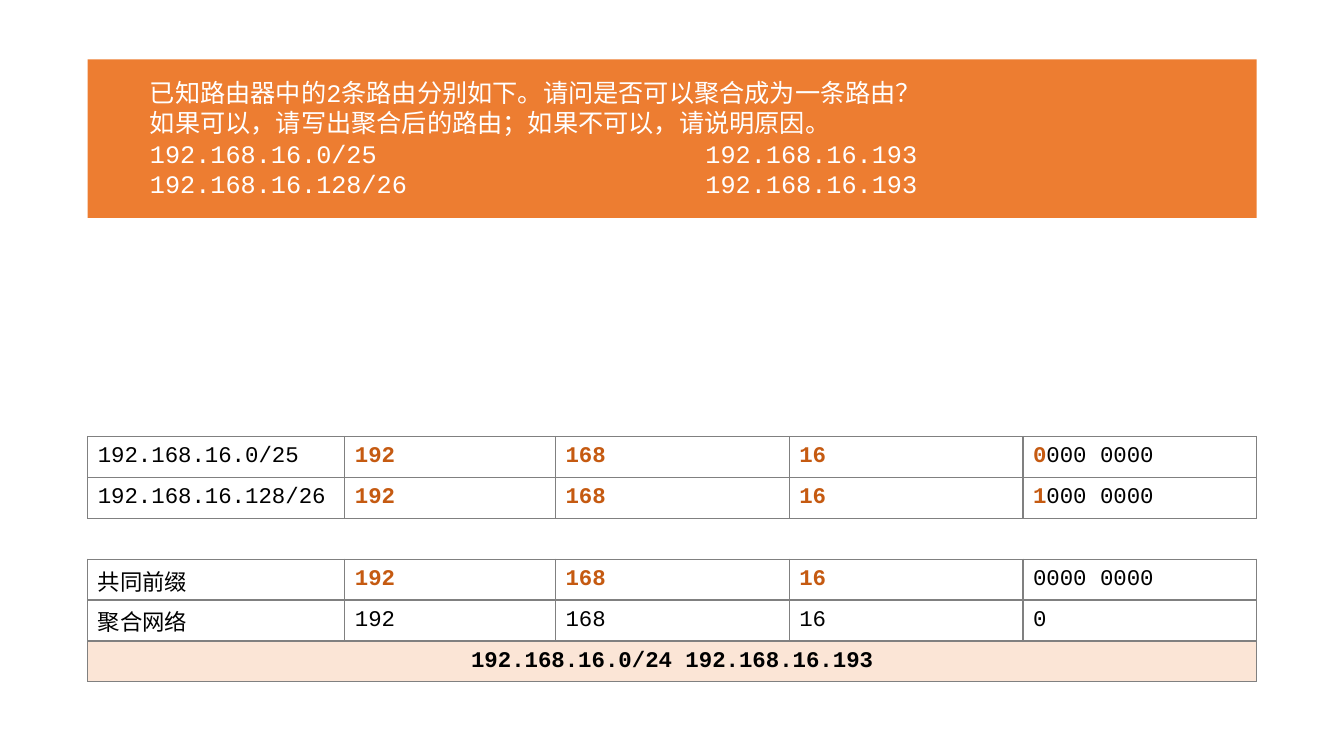
"""Build the route aggregation exercise slide."""
from lxml.etree import SubElement
from pptx import Presentation
from pptx.dml.color import RGBColor
from pptx.enum.shapes import MSO_SHAPE
from pptx.enum.text import MSO_ANCHOR, MSO_AUTO_SIZE, PP_ALIGN
from pptx.oxml.ns import qn
from pptx.util import Cm, Pt

QUESTION = [
    "已知路由器中的2条路由分别如下。请问是否可以聚合成为一条路由？",
    "如果可以，请写出聚合后的路由；如果不可以，请说明原因。",
    "192.168.16.0/25\t192.168.16.193",
    "192.168.16.128/26\t192.168.16.193",
]
COLUMN_WIDTHS = [6.48, 5.31, 5.89, 5.89, 5.89]
PREFIX = [("192", ""), ("168", ""), ("16", "")]
ROWS = [
    [("", "192.168.16.0/25"), *PREFIX, ("0", "000 0000")],
    [("", "192.168.16.128/26"), *PREFIX, ("1", "000 0000")],
    [],
    [("", "共同前缀"), *PREFIX, ("", "0000 0000")],
    [("", "聚合网络"), ("", "192"), ("", "168"), ("", "16"), ("", "0")],
]
RESULT = "192.168.16.0/24 192.168.16.193"


def color(value):
    """Turn a hex string into a colour."""
    return RGBColor.from_string(value)


def write(paragraph, text, size=16, fill="000000", bold=False, font="Courier New"):
    """Add a formatted run to a paragraph."""
    run = paragraph.add_run()
    run.text = text
    run.font.name = font
    run.font.size = Pt(size)
    run.font.bold = bold
    run.font.color.rgb = color(fill)


class RouteSlide:
    """Hold the style and the current slide."""

    accent, highlight, result_fill, border = "ED7D31", "C55A11", "FBE5D6", "808080"

    def __init__(self, presentation):
        """Add a blank slide."""
        self.slide = presentation.slides.add_slide(presentation.slide_layouts[6])

    def banner(self, left, top, width, height):
        """Draw the coloured rectangle behind the question."""
        shape = self.slide.shapes.add_shape(
            MSO_SHAPE.RECTANGLE, Cm(left), Cm(top), Cm(width), Cm(height))
        shape.shadow.inherit = False
        shape.fill.solid()
        shape.fill.fore_color.rgb = color(self.accent)
        shape.line.fill.background()

    def question(self, lines, left, top, width, height, tab=14):
        """Write lines whose second column starts at a tab stop."""
        box = self.slide.shapes.add_textbox(Cm(left), Cm(top), Cm(width), Cm(height))
        frame = box.text_frame
        frame.word_wrap = False
        frame.auto_size = MSO_AUTO_SIZE.SHAPE_TO_FIT_TEXT
        for index, line in enumerate(lines):
            paragraph = frame.add_paragraph() if index else frame.paragraphs[0]
            tabs = SubElement(paragraph._p.get_or_add_pPr(), qn("a:tabLst"))
            SubElement(tabs, qn("a:tab"), pos=str(Cm(tab)), algn="l")
            write(paragraph, line, size=18, fill="FFFFFF")

    def outline(self, cell, sides):
        """Draw the given cell borders and hide the others."""
        properties = cell._tc.get_or_add_tcPr()
        for side in "LRTB":
            line = SubElement(properties, qn(f"a:ln{side}"), w=str(Pt(1)))
            if side in sides:
                fill = SubElement(line, qn("a:solidFill"))
                SubElement(fill, qn("a:srgbClr"), val=self.border)
            else:
                SubElement(line, qn("a:noFill"))

    def table(self, left, top, row_height):
        """Draw the prefix comparison and the aggregated route."""
        row_count = len(ROWS) + 1
        table = self.slide.shapes.add_table(
            row_count, len(COLUMN_WIDTHS), Cm(left), Cm(top),
            Cm(sum(COLUMN_WIDTHS)), Cm(row_height * row_count)).table
        table.first_row = table.horz_banding = False
        for column, width in zip(table.columns, COLUMN_WIDTHS):
            column.width = Cm(width)
        for row, values in zip(table.rows, [*ROWS, [("", "")]]):
            row.height = Cm(row_height)
            for cell in row.cells:
                self.outline(cell, "LRTB" if values else "TB")
                cell.fill.background()
                cell.vertical_anchor = MSO_ANCHOR.MIDDLE
            for cell, (common, rest) in zip(row.cells, values):
                paragraph = cell.text_frame.paragraphs[0]
                if common:
                    write(paragraph, common, fill=self.highlight, bold=True)
                if rest:
                    write(paragraph, rest)
        result = table.cell(row_count - 1, 0)
        result.merge(table.cell(row_count - 1, len(COLUMN_WIDTHS) - 1))
        result.fill.solid()
        result.fill.fore_color.rgb = color(self.result_fill)
        paragraph = result.text_frame.paragraphs[0]
        paragraph.alignment = PP_ALIGN.CENTER
        write(paragraph, RESULT, bold=True)


def main():
    """Build and save the presentation."""
    presentation = Presentation()
    presentation.slide_width, presentation.slide_height = Cm(33.87), Cm(19.05)
    page = RouteSlide(presentation)
    page.banner(2.21, 1.5, 29.46, 3.99)
    page.question(QUESTION, 3.53, 1.83, 20.14, 3.33)
    page.table(2.21, 11, 1.03)
    presentation.save("out.pptx")


if __name__ == "__main__":
    main()
